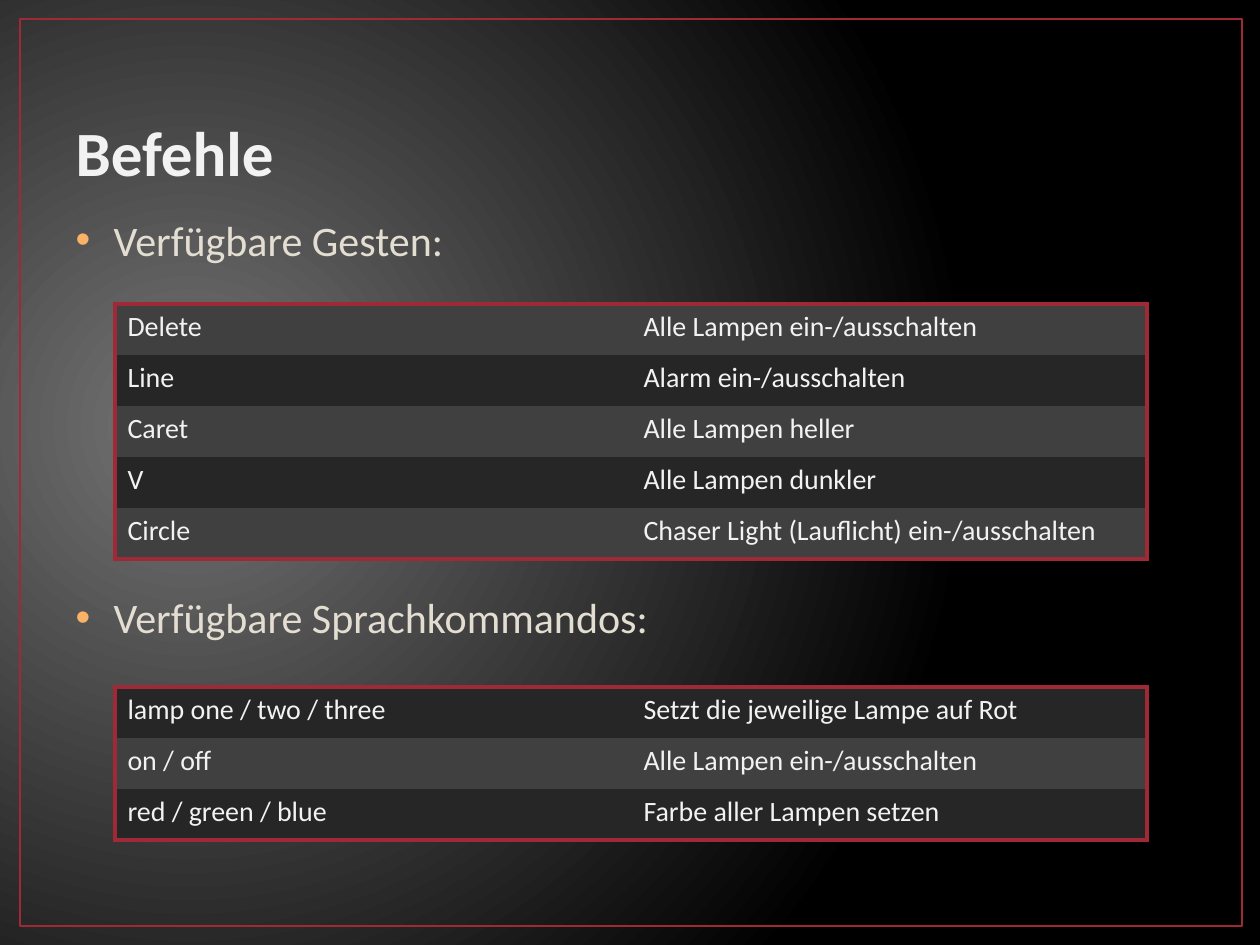
import pptx
import pptx.util
import pptx.dml.color
import pptx.enum.shapes
import pptx.enum.text
import pptx.oxml
import pptx.oxml.ns
from lxml import etree

RGB = pptx.dml.color.RGBColor.from_string
Pt = pptx.util.Pt
qn = pptx.oxml.ns.qn
NS = pptx.oxml.ns.nsdecls("a")

THEME = {
    "font": "Calibri",
    "accent": "9F2936", "bullet": "F9B268", "body": "E3DED1", "text": "F2F2F2",
    "bands": ["404040", "262626"], "glow": ["747474", "000000"],
    "title_pt": 36, "body_pt": 24, "cell_pt": 16, "frame_pt": 1.5, "border_pt": 2.25,
}


def px(n):
    return round(n * 914400 / 126)


def style(p, size, color, bold=False):
    for r in p.runs:
        r.font.name = THEME["font"]
        r.font.size = Pt(size)
        r.font.bold = bold
        r.font.color.rgb = RGB(color)


prs = pptx.Presentation()
prs.slide_width, prs.slide_height = px(1260), px(945)
s = prs.slides.add_slide(prs.slide_layouts[1])

fill = s.background.fill
fill.gradient()
for stop, color in zip(fill.gradient_stops, THEME["glow"]):
    stop.color.rgb = RGB(color)
lin = next(s.element.iter(qn("a:lin")))
lin.getparent().replace(lin, pptx.oxml.parse_xml(
    f'<a:path {NS} path="circle"><a:fillToRect l="15000" t="50000" r="85000" b="60000"/></a:path>'))

frame = s.shapes.add_shape(pptx.enum.shapes.MSO_SHAPE.RECTANGLE, px(20), px(19), px(1222), px(907))
frame.shadow.inherit = False
frame.fill.background()
frame.line.color.rgb = RGB(THEME["accent"])
frame.line.width = Pt(THEME["frame_pt"])
frame.element.getparent().insert(2, frame.element)

title = s.shapes.title
title.left, title.top, title.width, title.height = px(63), px(38), px(1134), px(157)
tf = title.text_frame
tf.text = "Befehle"
tf.vertical_anchor = pptx.enum.text.MSO_ANCHOR.BOTTOM
tf.auto_size = pptx.enum.text.MSO_AUTO_SIZE.NONE
tf.paragraphs[0].alignment = pptx.enum.text.PP_ALIGN.LEFT
style(tf.paragraphs[0], THEME["title_pt"], THEME["text"], True)

body = s.placeholders[1]
body.left, body.top, body.width, body.height = px(63), px(208), px(954), px(624)
tf = body.text_frame
tf.text = "Verfügbare Gesten:\nVerfügbare Sprachkommandos:"
tf.auto_size = pptx.enum.text.MSO_AUTO_SIZE.NONE
for p, gap in zip(tf.paragraphs, [0, 187]):
    p.space_before = Pt(gap)
    style(p, THEME["body_pt"], THEME["body"])
    pPr = p._p.get_or_add_pPr()
    pPr.set("marL", str(px(38)))
    pPr.set("indent", str(-px(38)))
    color = etree.SubElement(pPr, qn("a:buClr"))
    etree.SubElement(color, qn("a:srgbClr"), val=THEME["bullet"])
    etree.SubElement(pPr, qn("a:buChar"), char="•")

gestures = [
    ("Delete", "Alle Lampen ein-/ausschalten"),
    ("Line", "Alarm ein-/ausschalten"),
    ("Caret", "Alle Lampen heller"),
    ("V", "Alle Lampen dunkler"),
    ("Circle", "Chaser Light (Lauflicht) ein-/ausschalten"),
]
commands = [
    ("lamp one / two / three", "Setzt die jeweilige Lampe auf Rot"),
    ("on / off", "Alle Lampen ein-/ausschalten"),
    ("red / green / blue", "Farbe aller Lampen setzen"),
]
border = f'<a:solidFill><a:srgbClr val="{THEME["accent"]}"/></a:solidFill>'

for rows, top, first_band in [(gestures, 304, 0), (commands, 687, 1)]:
    table = s.shapes.add_table(len(rows), 2, px(115), px(top), px(1032), px(51 * len(rows))).table
    table.first_row = table.horz_banding = False
    for i, row in enumerate(rows):
        for j, text in enumerate(row):
            cell = table.cell(i, j)
            cell.text = text
            style(cell.text_frame.paragraphs[0], THEME["cell_pt"], THEME["text"])
            cell.fill.solid()
            cell.fill.fore_color.rgb = RGB(THEME["bands"][(i + first_band) % 2])
            outer = {"L": j == 0, "R": j == 1, "T": i == 0, "B": i == len(rows) - 1}
            tcPr = cell._tc.get_or_add_tcPr()
            for k, (side, shown) in enumerate(outer.items()):
                width = Pt(THEME["border_pt"]) if shown else 0
                tcPr.insert(k, pptx.oxml.parse_xml(
                    f'<a:ln{side} {NS} w="{width}">{border if shown else "<a:noFill/>"}</a:ln{side}>'))

prs.save("out.pptx")
